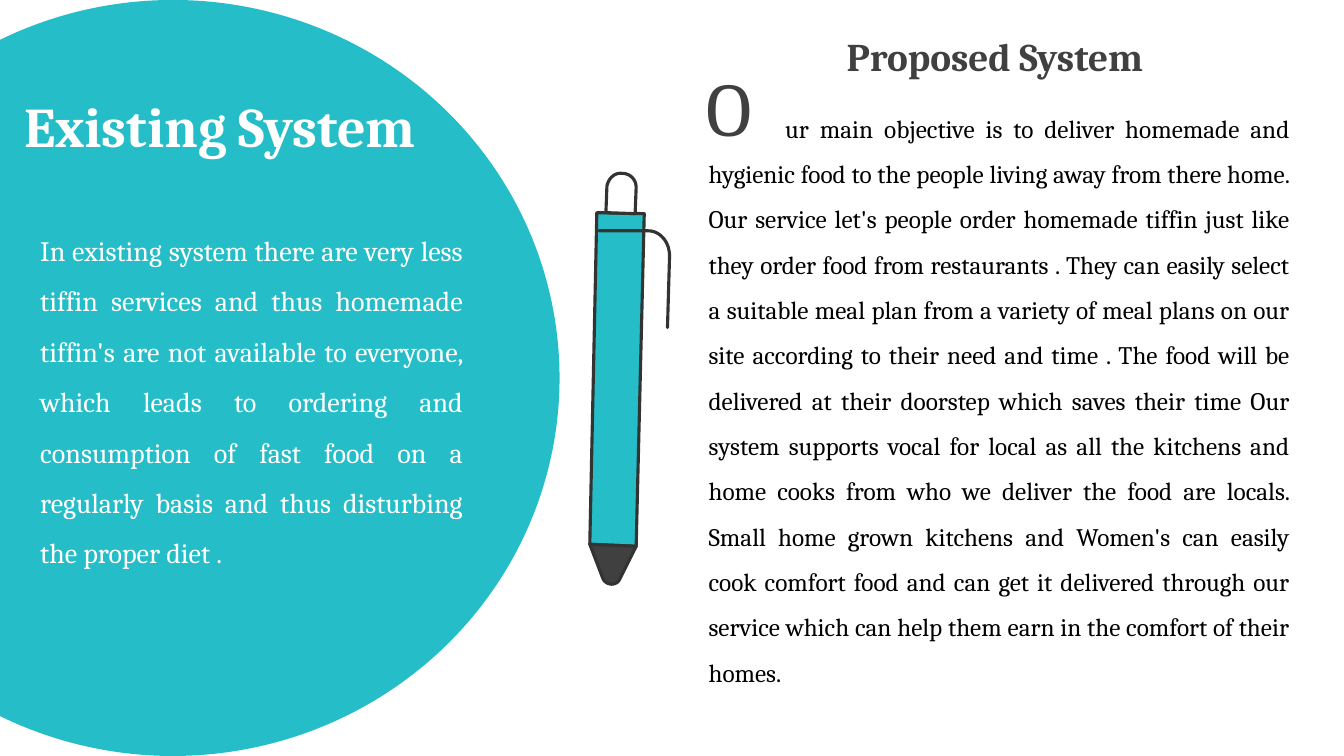
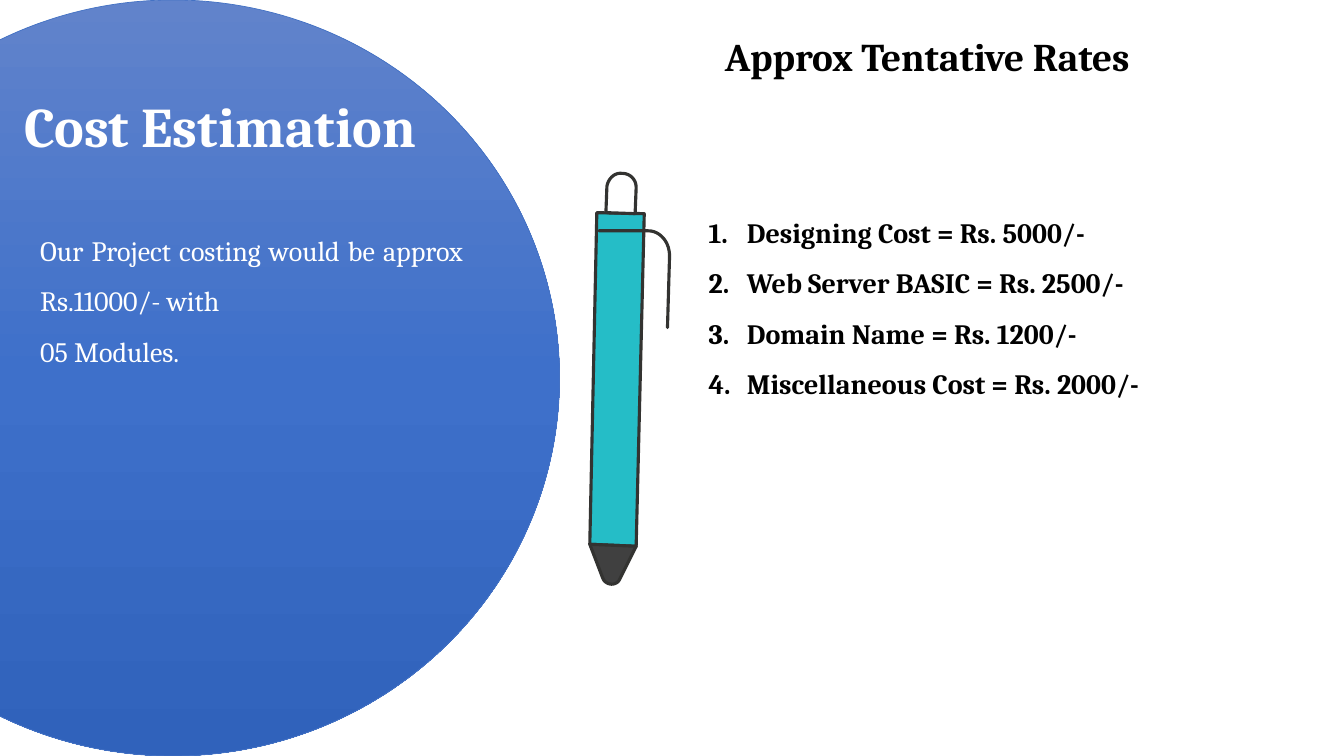
import copy
from dataclasses import dataclass
from typing import Optional

import lxml.etree
import pptx
import pptx.dml.color
import pptx.enum.shapes
import pptx.enum.text
import pptx.oxml.ns
import pptx.util
from pptx.util import Inches

FONT = "Cambria"
COLORS = {
    "teal": "25BDC7",
    "white": "FFFFFF",
    "black": "000000",
    "charcoal": "404040",
    "outline": "333331",
    "blue_line": "4472C4",
    "blue_top": "6183CB",
    "blue_middle": "3E70CA",
    "blue_bottom": "3062BB",
}
ALIGN = pptx.enum.text.PP_ALIGN
CURVE_STEPS = 12

Point = tuple[float, float]


@dataclass(frozen=True)
class TextBlock:
    left: float
    top: float
    width: float
    height: float
    paragraphs: tuple[str, ...]
    size: int
    color: str
    bold: bool = False
    align: Optional[ALIGN] = None
    line_spacing: Optional[float] = None
    first_indent: float = 0
    numbered: bool = False


@dataclass(frozen=True)
class PenPart:
    start: Point
    # One point is a straight segment; three points are a Bezier curve
    segments: tuple[tuple[Point, ...], ...]
    fill: Optional[str] = None


@dataclass(frozen=True)
class SlideContent:
    circle_colors: tuple[str, ...]
    circle_line: Optional[str]
    texts: tuple[TextBlock, ...]


# Pen, from back to front: barrel, button, tip, clip
PEN = (
    PenPart((6.31, 5.42), (((5.85, 5.4),), ((5.92, 2.11),), ((6.39, 2.12),)), "teal"),
    PenPart(
        (6.17, 1.72),
        (
            ((6.09, 1.71), (6.03, 1.78), (6.02, 1.85)),
            ((6.01, 2.11),),
            ((6.3, 2.12),),
            ((6.31, 1.86),),
            ((6.31, 1.78), (6.25, 1.72), (6.17, 1.72)),
        ),
        "white",
    ),
    PenPart(
        (5.85, 5.4),
        (
            ((5.98, 5.74),),
            ((6.01, 5.81), (6.12, 5.82), (6.15, 5.74)),
            ((6.31, 5.42),),
        ),
        "charcoal",
    ),
    PenPart(
        (5.94, 2.29),
        (
            ((6.43, 2.29),),
            ((6.55, 2.29), (6.65, 2.41), (6.64, 2.56)),
            ((6.62, 3.25),),
        ),
    ),
)


# Text styles shared by the slides
def main_title(text: str) -> TextBlock:
    return TextBlock(0.14, 0.86, 4.22, 0.77, (text,), 40, "white", bold=True)


def left_body(height: float, *paragraphs: str) -> TextBlock:
    return TextBlock(0.3, 2.1, 4.39, height, paragraphs, 20, "white",
                     align=ALIGN.JUSTIFY, line_spacing=1.5)


def right_title(left: float, width: float, text: str, color: str) -> TextBlock:
    return TextBlock(left, 0.27, width, 0.57, (text,), 28, color, bold=True)


SLIDES = (
    SlideContent(
        ("teal",),
        None,
        (
            main_title("Existing System"),
            left_body(
                3.64,
                "In existing system there are very less tiffin services and thus "
                "homemade tiffin's are not available to everyone, which leads to "
                "ordering and consumption of fast food on a regularly basis and "
                "thus disturbing the proper diet .",
            ),
            TextBlock(
                6.93, 0.92, 5.96, 6.01,
                (
                    "ur main objective is to deliver homemade and hygienic food to "
                    "the people living away from there home. Our service let's "
                    "people order homemade tiffin just like they order food from "
                    "restaurants . They can easily select a suitable meal plan from "
                    "a variety of meal plans on our site according to their need "
                    "and time . The food will be delivered at their doorstep which "
                    "saves their time Our system supports vocal for local as all "
                    "the kitchens and home cooks from who we deliver the food are "
                    "locals. Small home grown kitchens and Women's can easily cook "
                    "comfort food and can get it delivered through our service "
                    "which can help them earn in the comfort of their homes.",
                ),
                18, "black", align=ALIGN.JUSTIFY, line_spacing=1.5, first_indent=0.76,
            ),
            right_title(8.3, 3.44, "Proposed System", "charcoal"),
            TextBlock(6.86, 0.56, 0.69, 1.01, ("O",), 54, "charcoal", align=ALIGN.RIGHT),
        ),
    ),
    SlideContent(
        ("blue_top", "blue_middle", "blue_bottom"),
        "blue_line",
        (
            main_title("Cost Estimation"),
            left_body(2.12, "Our Project costing would be approx Rs.11000/- with",
                      "05 Modules."),
            TextBlock(
                6.93, 1.92, 5.96, 2.12,
                (
                    "Designing Cost = Rs. 5000/-",
                    "Web Server BASIC = Rs. 2500/-",
                    "Domain Name = Rs. 1200/-",
                    "Miscellaneous Cost = Rs. 2000/-",
                ),
                20, "black", bold=True, align=ALIGN.JUSTIFY, line_spacing=1.5,
                numbered=True,
            ),
            right_title(7.09, 4.65, "Approx Tentative Rates", "black"),
        ),
    ),
)


def rgb(name: str) -> pptx.dml.color.RGBColor:
    return pptx.dml.color.RGBColor.from_string(COLORS[name])


def add_circle(slide, content: SlideContent) -> None:
    shape = slide.shapes.add_shape(
        pptx.enum.shapes.MSO_SHAPE.OVAL,
        Inches(-2.12), Inches(0), Inches(7.67), Inches(7.5))
    shape.shadow.inherit = False
    if len(content.circle_colors) == 1:
        shape.fill.solid()
        shape.fill.fore_color.rgb = rgb(content.circle_colors[0])
    else:
        fill_gradient(shape, content.circle_colors)
    if content.circle_line:
        shape.line.color.rgb = rgb(content.circle_line)
        shape.line.width = pptx.util.Pt(0.5)
    else:
        shape.line.fill.background()


def fill_gradient(shape, colors: tuple[str, ...]) -> None:
    """Fill from top to bottom with evenly spaced colours."""
    shape.fill.gradient()
    shape.fill.gradient_angle = 270
    stop_list = shape.element.spPr.find(".//" + pptx.oxml.ns.qn("a:gsLst"))
    while len(stop_list) < len(colors):
        stop_list.append(copy.deepcopy(stop_list[0]))
    for index, (stop, color) in enumerate(zip(shape.fill.gradient_stops, colors)):
        stop.position = index / (len(colors) - 1)
        stop.color.rgb = rgb(color)


def add_text(slide, block: TextBlock) -> None:
    shape = slide.shapes.add_textbox(
        Inches(block.left), Inches(block.top), Inches(block.width), Inches(block.height))
    frame = shape.text_frame
    frame.word_wrap = True
    frame.auto_size = pptx.enum.text.MSO_AUTO_SIZE.SHAPE_TO_FIT_TEXT
    for index, text in enumerate(block.paragraphs):
        paragraph = frame.add_paragraph() if index else frame.paragraphs[0]
        paragraph.alignment = block.align
        paragraph.line_spacing = block.line_spacing
        properties = paragraph._p.get_or_add_pPr()
        if block.first_indent:
            properties.set("indent", str(Inches(block.first_indent)))
        if block.numbered:
            properties.set("marL", str(Inches(0.38)))
            properties.set("indent", str(Inches(-0.38)))
            lxml.etree.SubElement(properties, pptx.oxml.ns.qn("a:buAutoNum"),
                                  type="arabicPeriod")
        run = paragraph.add_run()
        run.text = text
        run.font.name = FONT
        run.font.size = pptx.util.Pt(block.size)
        run.font.bold = block.bold
        run.font.color.rgb = rgb(block.color)


def curve_points(start: Point, first: Point, second: Point, end: Point) -> list[Point]:
    points = []
    for step in range(1, CURVE_STEPS + 1):
        t = step / CURVE_STEPS
        weights = ((1 - t) ** 3, 3 * t * (1 - t) ** 2, 3 * t ** 2 * (1 - t), t ** 3)
        controls = (start, first, second, end)
        points.append((sum(w * p[0] for w, p in zip(weights, controls)),
                       sum(w * p[1] for w, p in zip(weights, controls))))
    return points


def add_pen(slide) -> None:
    group = slide.shapes.add_group_shape()
    for part in PEN:
        points = [part.start]
        for segment in part.segments:
            points += curve_points(points[-1], *segment) if len(segment) == 3 else segment
        vertices = [(Inches(x), Inches(y)) for x, y in points]
        builder = group.shapes.build_freeform(*vertices[0], scale=1.0)
        builder.add_line_segments(vertices[1:], close=part.fill is not None)
        shape = builder.convert_to_shape()
        shape.shadow.inherit = False
        if part.fill:
            shape.fill.solid()
            shape.fill.fore_color.rgb = rgb(part.fill)
        else:
            shape.fill.background()
        shape.line.color.rgb = rgb("outline")
        shape.line.width = pptx.util.Pt(2.25)
        # Round caps and joins
        line = shape.element.spPr.find(pptx.oxml.ns.qn("a:ln"))
        line.set("cap", "rnd")
        lxml.etree.SubElement(line, pptx.oxml.ns.qn("a:round"))


def main() -> None:
    presentation = pptx.Presentation()
    presentation.slide_width = Inches(13.33)
    presentation.slide_height = Inches(7.5)
    for content in SLIDES:
        slide = presentation.slides.add_slide(presentation.slide_layouts[6])
        add_circle(slide, content)
        for block in content.texts:
            add_text(slide, block)
        add_pen(slide)
    presentation.save("out.pptx")


if __name__ == "__main__":
    main()
